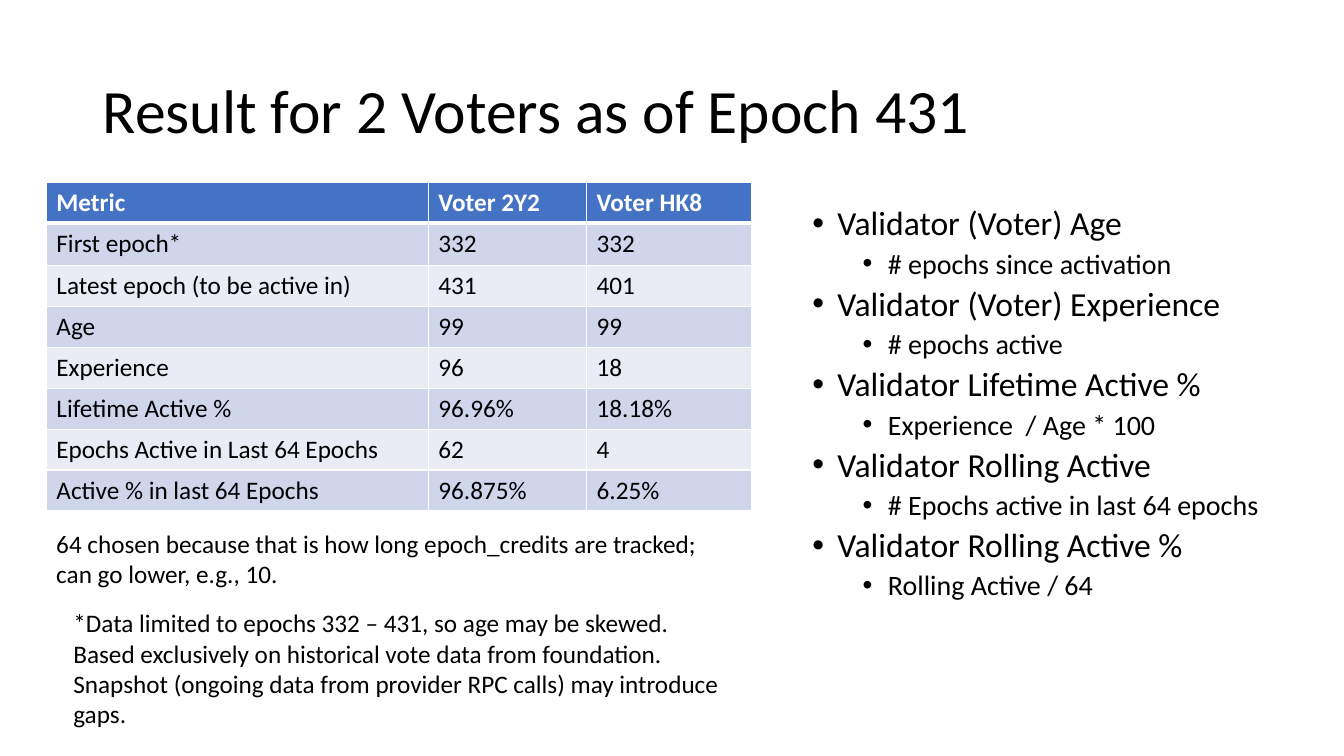
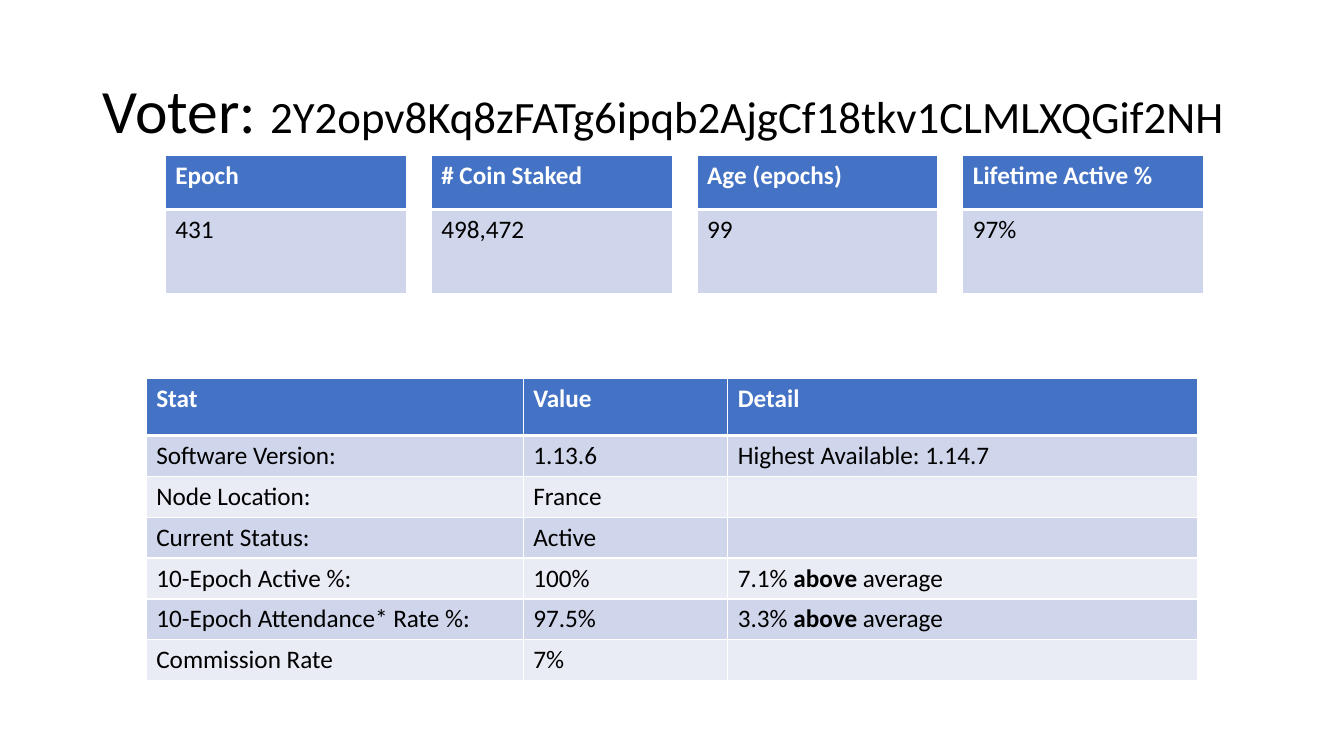
from lxml.etree import SubElement
from pptx import Presentation
from pptx.dml.color import RGBColor
from pptx.enum.text import MSO_ANCHOR
from pptx.oxml import parse_xml
from pptx.oxml.ns import nsdecls, qn
from pptx.util import Inches, Pt

rgb = RGBColor.from_string
FONT = "Calibri"
BLACK, WHITE = "000000", "FFFFFF"
HEADER, BANDS = "4472C4", ("E9EBF5", "CFD5EA")
ROW = 5.41  # height of a table row, in percent of the slide

prs = Presentation()
prs.slide_width, prs.slide_height = Inches(13.33), Inches(7.5)
# One hundred columns by one hundred rows
X, Y = prs.slide_width / 100, prs.slide_height / 100


def write(p, text, size=18, color=BLACK, bold=False):
    """Append text; newlines break the line, **pairs** mark bold words."""
    for n, line in enumerate(text.split("\n")):
        if n:
            p.add_line_break()
        for i, piece in enumerate(line.split("**")):
            r = p.add_run()
            r.text = piece
            r.font.name, r.font.size = FONT, Pt(size)
            r.font.bold = bold or i % 2 == 1
            r.font.color.rgb = rgb(color)


def add_grid(s, left, top, cols, heights, rows):
    """Banded table with a blue header and white rules."""
    frame = s.shapes.add_table(len(rows), len(cols), int(left * X), int(top * Y),
                               int(sum(cols) * X), int(sum(heights) * Y))
    table = frame.table
    for col, width in zip(table.columns, cols):
        col.width = int(width * X)
    for i, texts in enumerate(rows):
        table.rows[i].height = int(heights[i] * Y)
        for j, text in enumerate(texts):
            cell = table.cell(i, j)
            cell.fill.solid()
            cell.fill.fore_color.rgb = rgb(BANDS[i % 2] if i else HEADER)
            if text:
                write(cell.text_frame.paragraphs[0], text,
                      color=BLACK if i else WHITE, bold=i == 0)
            # The rule under the header is thicker
            weights = {"L": 1, "R": 1, "T": 3 if i == 1 else 1, "B": 1 if i else 3}
            for n, (side, weight) in enumerate(weights.items()):
                cell._tc.get_or_add_tcPr().insert(n, parse_xml(
                    f'<a:ln{side} {nsdecls("a")} w="{Pt(weight)}"><a:solidFill>'
                    f'<a:srgbClr val="{WHITE}"/></a:solidFill></a:ln{side}>'))


# Both slides with their titles
slides = []
for parts in (
    [("Result for 2 Voters as of Epoch 431", 44)],
    [("Voter: ", 44), ("2Y2opv8Kq8zFATg6ipqb2AjgCf18tkv1CLMLXQGif2NH", 32)],
):
    s = prs.slides.add_slide(prs.slide_layouts[6])
    tf = s.shapes.add_textbox(int(6.9 * X), int(5.33 * Y),
                              int(86.25 * X), int(19.33 * Y)).text_frame
    tf.word_wrap, tf.vertical_anchor = True, MSO_ANCHOR.MIDDLE
    p = tf.paragraphs[0]
    p.line_spacing = 0.9
    for text, size in parts:
        write(p, text, size)
    slides.append(s)
results, voter = slides

# Slide 1: metrics table
add_grid(results, 3.45, 24.13, [28.42, 11.78, 12.3], [ROW, 5.6] + [ROW] * 6, [
    ("Metric", "Voter 2Y2", "Voter HK8"),
    ("First epoch*", "332", "332"),
    ("Latest epoch (to be active in)", "431", "401"),
    ("Age", "99", "99"),
    ("Experience", "96", "18"),
    ("Lifetime Active %", "96.96%", "18.18%"),
    ("Epochs Active in Last 64 Epochs", "62", "4"),
    ("Active % in last 64 Epochs", "96.875%", "6.25%"),
])

# Slide 1: notes under the table
for left, top, width, height, note in (
    (3.45, 69.2, 49.7, 9.47,
     "64 chosen because that is how long epoch_credits are tracked;\n"
     "can go lower, e.g., 10."),
    (4.72, 79.73, 50, 17.5,
     "*Data limited to epochs 332 – 431, so age may be skewed.\n"
     "Based exclusively on historical vote data from foundation. "
     "Snapshot (ongoing data from provider RPC calls) may introduce gaps."),
):
    tf = results.shapes.add_textbox(int(left * X), int(top * Y),
                                    int(width * X), int(height * Y)).text_frame
    tf.word_wrap = True
    write(tf.paragraphs[0], note)

# Slide 1: definitions, each term followed by its formula
definitions = [
    ("Validator (Voter) Age", "# epochs since activation"),
    ("Validator (Voter) Experience", "# epochs active"),
    ("Validator Lifetime Active %", "Experience  / Age * 100"),
    ("Validator Rolling Active", "# Epochs active in last 64 epochs"),
    ("Validator Rolling Active %", "Rolling Active / 64"),
]
tf = results.shapes.add_textbox(int(55.95 * X), int(26.67 * Y),
                                int(42.5 * X), int(63.5 * Y)).text_frame
tf.word_wrap = True
for n, pair in enumerate(definitions):
    for level, text in enumerate(pair):
        p = tf.add_paragraph() if n or level else tf.paragraphs[0]
        p.level, p.line_spacing, p.space_before = level, 0.9, Pt(5)
        pPr = p._p.get_or_add_pPr()
        pPr.set("marL", str(Inches(0.75 + 0.5 * level)))
        pPr.set("indent", str(Inches(-0.25)))
        SubElement(pPr, qn("a:buFont")).set("typeface", "Arial")
        SubElement(pPr, qn("a:buChar")).set("char", "•")
        write(p, text, 24 - 4 * level)

# Slide 2: statistics table
add_grid(voter, 10.88, 50, [28.05, 15.22, 34.95], [7.6] + [ROW] * 6, [
    ("Stat", "Value", "Detail"),
    ("Software Version:", "1.13.6", "Highest Available: 1.14.7"),
    ("Node Location:", "France", ""),
    ("Current Status:", "Active", ""),
    ("10-Epoch Active %:", "100%", "7.1% **above** average"),
    ("10-Epoch Attendance* Rate %:", "97.5%", "3.3% **above** average"),
    ("Commission Rate", "7%", ""),
])

# Slide 2: key figures in equal steps
figures = [("Epoch", "431"), ("# Coin Staked", "498,472"),
           ("Age (epochs)", "99"), ("Lifetime Active %", "97%")]
for n, (label, value) in enumerate(figures):
    add_grid(voter, 12.3 + 19.78 * n, 20.53, [17.93], [7.2, 11.07],
             [(label,), (value,)])

prs.save("out.pptx")
